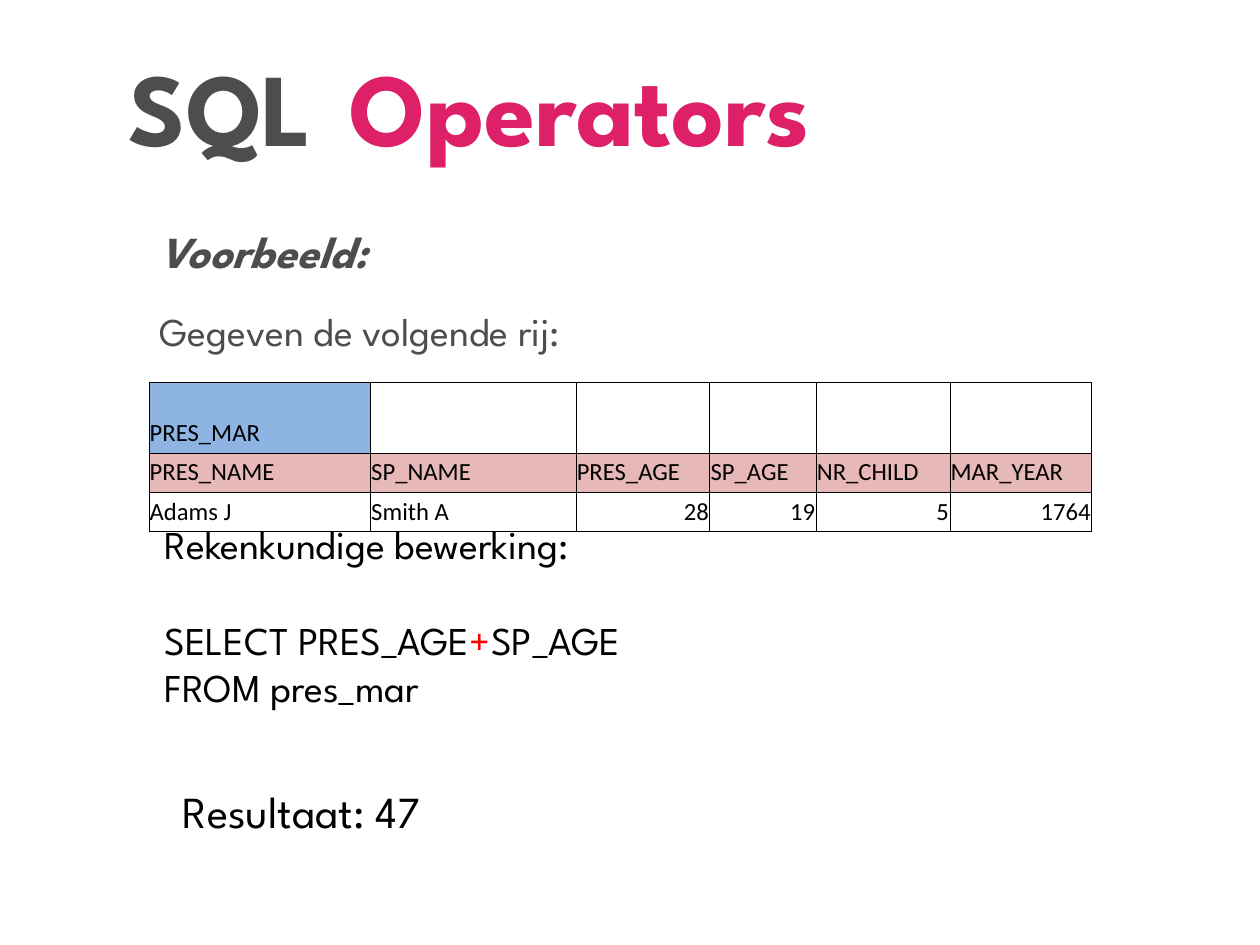
"""Build the slide on SQL operators."""
from dataclasses import dataclass

from lxml.etree import SubElement as Sub
from pptx import Presentation
from pptx.dml.color import RGBColor as Color
from pptx.enum.text import MSO_ANCHOR as Anchor, MSO_AUTO_SIZE as Fit, PP_ALIGN as Align
from pptx.oxml.ns import qn
from pptx.util import Pt

PX = 9144
GREY = Color(0x4D, 0x4D, 0x4D)
PINK = Color(0xDD, 0x20, 0x67)
BLACK = Color(0, 0, 0)
RED = Color(0xFF, 0, 0)
BLUE = Color(0x8D, 0xB4, 0xE2)
ROSE = Color(0xE6, 0xB8, 0xB7)
HEAD = "League Spartan"
GRID = "Calibri"

COLS = (250, 232, 151, 120, 151, 160)
ROWS = (80, 44, 44)
CELLS = (
    ("PRES_MAR", "", "", "", "", ""),
    ("PRES_NAME", "SP_NAME", "PRES_AGE", "SP_AGE", "NR_CHILD", "MAR_YEAR"),
    ("Adams J", "Smith A", "28", "19", "5", "1764"),
)


@dataclass(frozen=True)
class Run:
    text: str
    size: int
    color: Color = BLACK
    bold: bool = False
    slant: bool = False
    font: str = HEAD


@dataclass(frozen=True)
class Line:
    runs: tuple[Run, ...]
    gap: int = 0
    align: Align = Align.LEFT
    indent: int = 0
    tab: int = 0


@dataclass(frozen=True)
class Box:
    left: int
    top: int
    width: int
    height: int
    lines: tuple[Line, ...]
    pad: tuple[int, int] = (10, 5)
    wrap: bool = True
    anchor: Anchor = Anchor.TOP


TITLE = Box(139, 28, 1144, 182, (
    Line((Run("SQL\t", 84, GREY, True), Run("Operators", 84, PINK, True)), tab=285),
), (6, 6), anchor=Anchor.MIDDLE)
INTRO = Box(139, 247, 1144, 184, (
    Line((Run("Voorbeeld:", 36, GREY, True, True),), indent=35),
    Line((Run("Gegeven de volgende rij:", 32, GREY),), gap=24, indent=35),
), (6, 6))
QUERY = Box(176, 582, 1118, 224, (
    Line((Run("Rekenkundige bewerking:", 32),)),
    Line((Run("SELECT PRES_AGE", 32), Run("+", 32, RED), Run("SP_AGE", 32)), gap=39),
    Line((Run("FROM pres_mar", 32),)),
))
RESULT = Box(179, 880, 323, 70, (
    Line((Run("Resultaat: 47", 36),), align=Align.CENTER),
), wrap=False)


def write(para, line: Line) -> None:
    props = para._p.get_or_add_pPr()
    props.set("marL", str(line.indent * PX))
    props.set("indent", "0")
    Sub(props, qn("a:buNone"))
    if line.tab:
        stops = Sub(props, qn("a:tabLst"))
        Sub(stops, qn("a:tab"), pos=str(line.tab * PX), algn="l")
    para.alignment = line.align
    para.space_before = Pt(line.gap)
    for item in line.runs:
        run = para.add_run()
        run.text = item.text
        font = run.font
        font.name, font.size = item.font, Pt(item.size)
        font.bold, font.italic = item.bold, item.slant
        font.color.rgb = item.color


def fill_box(shape, box: Box) -> None:
    shape.left, shape.top = box.left * PX, box.top * PX
    shape.width, shape.height = box.width * PX, box.height * PX
    frame = shape.text_frame
    frame.auto_size = Fit.NONE
    frame.word_wrap = box.wrap
    frame.vertical_anchor = box.anchor
    frame.margin_left = frame.margin_right = box.pad[0] * PX
    frame.margin_top = frame.margin_bottom = box.pad[1] * PX
    for i, line in enumerate(box.lines):
        write(frame.add_paragraph() if i else frame.paragraphs[0], line)


def add_box(slide, box: Box) -> None:
    fill_box(slide.shapes.add_textbox(0, 0, PX, PX), box)


def edge(cell) -> None:
    props = cell._tc.get_or_add_tcPr()
    for i, side in enumerate(("lnL", "lnR", "lnT", "lnB")):
        line = props.makeelement(qn(f"a:{side}"), {"w": str(Pt(0.45))})
        paint = Sub(line, qn("a:solidFill"))
        Sub(paint, qn("a:srgbClr"), val=str(BLACK))
        props.insert(i, line)


def fill_cell(cell, text: str, shade: Color | None) -> None:
    cell.margin_left = cell.margin_right = PX
    cell.margin_top = cell.margin_bottom = 5 * PX
    cell.vertical_anchor = Anchor.BOTTOM
    if shade is None:
        cell.fill.background()
    else:
        cell.fill.solid()
        cell.fill.fore_color.rgb = shade
    edge(cell)
    if text:
        align = Align.RIGHT if text.isdigit() else Align.LEFT
        write(cell.text_frame.paragraphs[0], Line((Run(text, 20, font=GRID),), align=align))


def add_grid(slide) -> None:
    frame = slide.shapes.add_table(
        len(ROWS), len(COLS), 168 * PX, 431 * PX, sum(COLS) * PX, sum(ROWS) * PX)
    table = frame.table
    table.first_row = table.horz_banding = False
    for col, width in zip(table.columns, COLS):
        col.width = width * PX
    for r, (row, height) in enumerate(zip(table.rows, ROWS)):
        row.height = height * PX
        for c, text in enumerate(CELLS[r]):
            shade = ROSE if r == 1 else BLUE if r == c == 0 else None
            fill_cell(table.cell(r, c), text, shade)


def main() -> None:
    deck = Presentation()
    deck.slide_width, deck.slide_height = 1422 * PX, 1066 * PX
    slide = deck.slides.add_slide(deck.slide_layouts[1])
    fill_box(slide.shapes.title, TITLE)
    fill_box(slide.placeholders[1], INTRO)
    add_grid(slide)
    add_box(slide, QUERY)
    add_box(slide, RESULT)
    deck.save("out.pptx")


if __name__ == "__main__":
    main()
